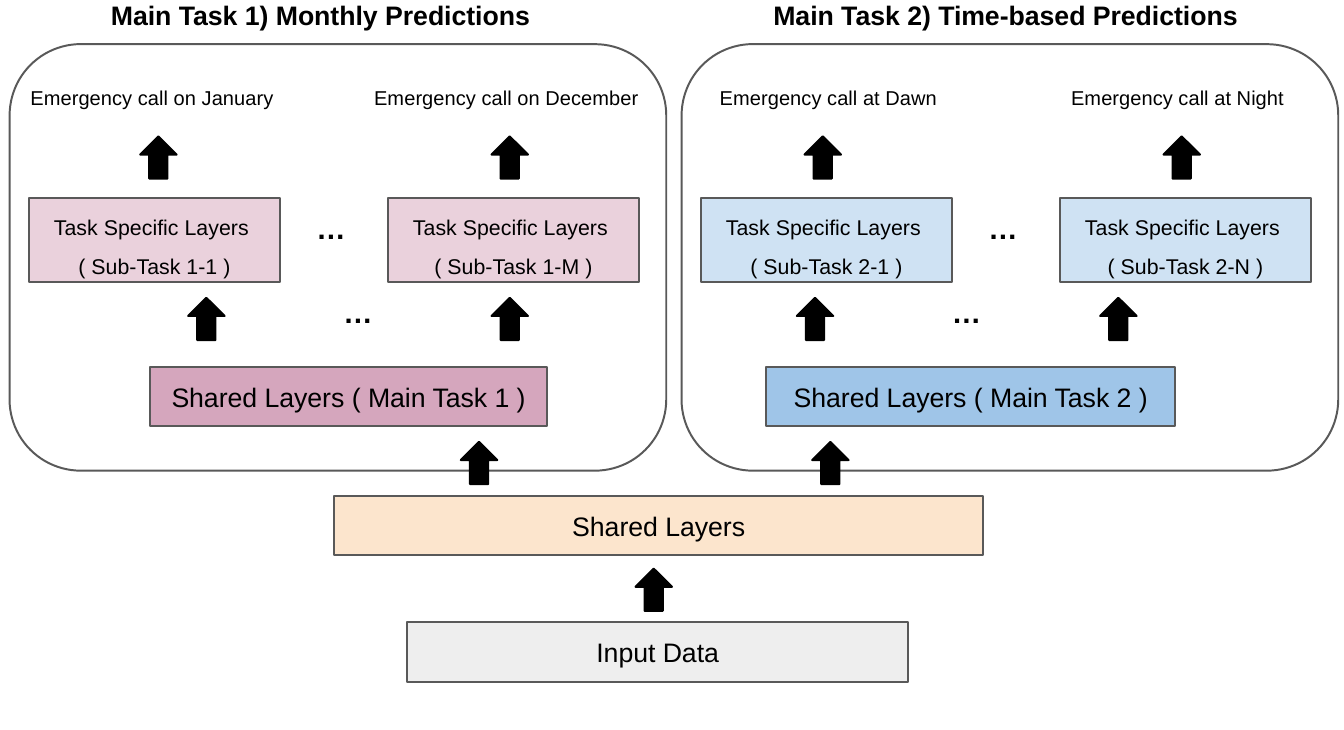
from pptx import Presentation
from pptx.dml.color import RGBColor
from pptx.enum.shapes import MSO_SHAPE
from pptx.enum.text import MSO_ANCHOR, MSO_AUTO_SIZE, PP_ALIGN
from pptx.util import Inches, Pt

COLORS = {
    "background": "FFFFFF", "outline": "595959", "ink": "000000",
    "input": "EEEEEE", "shared": "FCE5CD",
    "main_1": "D5A6BD", "sub_1": "EAD1DC",
    "main_2": "9FC5E8", "sub_2": "CFE2F3",
}
FONT = "Arial"
PANEL_STEP = 3.5
SUB_TASK_STEP = 1.87

TASKS = [
    {
        "heading": (0.48, "Main Task 1) Monthly Predictions"),
        "main": (0.78, 2.07, "Shared Layers ( Main Task 1 )"),
        "subs": ["( Sub-Task 1-1 )", "( Sub-Task 1-M )"],
        "outputs": [(0.06, 1.61, "Emergency call on January"),
                    (1.85, 1.65, "Emergency call on December")],
        "arrows": [(0.73, 0.71), (2.56, 0.71), (0.98, 1.55), (2.56, 1.55), (2.4, 2.3)],
        "lower_dots": 1.69,
    },
    {
        "heading": (3.93, "Main Task 2) Time-based Predictions"),
        "main": (3.99, 2.13, "Shared Layers ( Main Task 2 )"),
        "subs": ["( Sub-Task 2-1 )", "( Sub-Task 2-N )"],
        "outputs": [(3.65, 1.61, "Emergency call at Dawn"),
                    (5.48, 1.61, "Emergency call at Night")],
        "arrows": [(4.19, 0.71), (6.06, 0.71), (4.15, 1.55), (5.73, 1.55), (4.23, 2.3)],
        "lower_dots": 4.86,
    },
]


def rgb(color):
    return RGBColor.from_string(COLORS[color])


def set_insets(frame):
    frame.margin_left = frame.margin_right = Inches(0.1)
    frame.margin_top = frame.margin_bottom = Inches(0.1)
    frame.word_wrap = True


def write_lines(paragraph, lines, size, bold=False):
    for number, line in enumerate(lines):
        if number:
            paragraph.add_line_break()
        run = paragraph.add_run()
        run.text = line
        run.font.name = FONT
        run.font.size = Pt(size)
        run.font.bold = bold
        run.font.color.rgb = rgb("ink")


def add_outline(slide, preset, box, fill=None, line="outline"):
    outline = slide.shapes.add_shape(preset, *map(Inches, box))
    outline.shadow.inherit = False
    if fill:
        outline.fill.solid()
        outline.fill.fore_color.rgb = rgb(fill)
    else:
        outline.fill.background()
    outline.line.color.rgb = rgb(line)
    outline.line.width = Pt(0.75)
    return outline


def add_layer(slide, box, fill, lines, size=10, spacing=None):
    frame = add_outline(slide, MSO_SHAPE.RECTANGLE, box, fill).text_frame
    set_insets(frame)
    frame.vertical_anchor = MSO_ANCHOR.MIDDLE
    paragraph = frame.paragraphs[0]
    paragraph.alignment = PP_ALIGN.CENTER
    paragraph.line_spacing = spacing
    write_lines(paragraph, lines, size)


def add_up_arrow(slide, left, top):
    add_outline(slide, MSO_SHAPE.UP_ARROW, (left, top, 0.19, 0.22), "ink", "ink")


def add_label(slide, box, text, size, bold=False):
    frame = slide.shapes.add_textbox(*map(Inches, box)).text_frame
    set_insets(frame)
    frame.auto_size = MSO_AUTO_SIZE.SHAPE_TO_FIT_TEXT
    write_lines(frame.paragraphs[0], [text], size, bold)


def add_dots(slide, left, top):
    add_label(slide, (left, top, 0.47, 0.39), "…", 11, True)


def add_task(slide, index, task):
    shift = index * PANEL_STEP
    panel = add_outline(slide, MSO_SHAPE.ROUNDED_RECTANGLE, (0.05 + shift, 0.23, 3.42, 2.22))
    panel.adjustments[0] = 0.167

    heading_left, heading = task["heading"]
    add_label(slide, (heading_left, -0.09, 2.7, 0.37), heading, 10, True)

    main_left, main_width, main_name = task["main"]
    add_layer(slide, (main_left, 1.91, main_width, 0.31), f"main_{index + 1}", [main_name])

    for position, sub_task in enumerate(task["subs"]):
        sub_left = 0.15 + shift + position * SUB_TASK_STEP
        add_layer(slide, (sub_left, 1.03, 1.31, 0.44), f"sub_{index + 1}",
                  ["Task Specific Layers ", sub_task], 8, 1.5)

    for left, width, output in task["outputs"]:
        add_label(slide, (left, 0.38, width, 0.33), output, 7.5)

    for left, top in task["arrows"]:
        add_up_arrow(slide, left, top)

    add_dots(slide, 1.55 + shift, 1)
    add_dots(slide, task["lower_dots"], 1.44)


def main():
    deck = Presentation()
    deck.slide_width, deck.slide_height = Inches(7), Inches(3.8)
    slide = deck.slides.add_slide(deck.slide_layouts[6])
    slide.background.fill.solid()
    slide.background.fill.fore_color.rgb = rgb("background")

    for index, task in enumerate(TASKS):
        add_task(slide, index, task)
    add_layer(slide, (1.74, 2.58, 3.38, 0.31), "shared", ["Shared Layers"])
    add_up_arrow(slide, 3.31, 2.96)
    add_layer(slide, (2.12, 3.24, 2.61, 0.31), "input", ["Input Data"])

    deck.save("out.pptx")


main()
